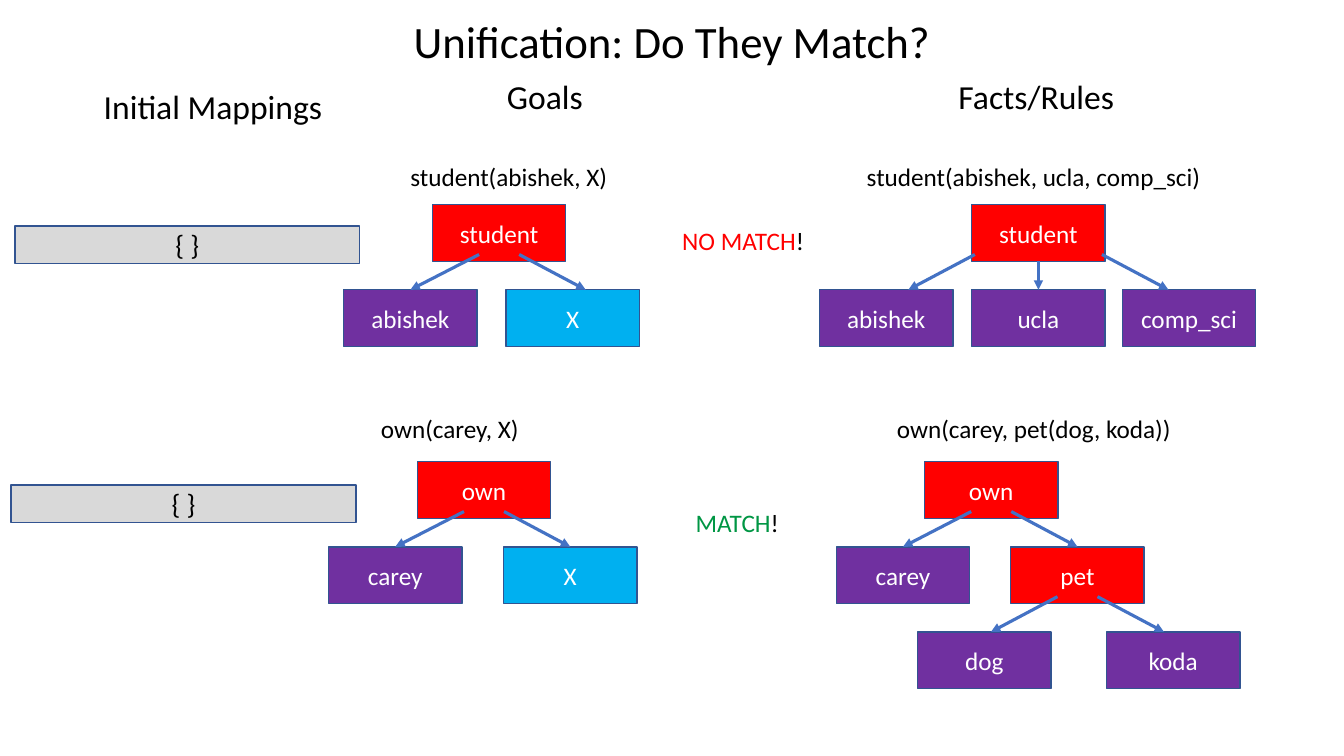
"""Build a slide that compares goals with facts and rules as term trees."""
from dataclasses import dataclass

from lxml import etree
from pptx import Presentation
from pptx.dml.color import RGBColor
from pptx.enum.shapes import MSO_CONNECTOR, MSO_SHAPE
from pptx.enum.text import MSO_ANCHOR, MSO_AUTO_SIZE, PP_ALIGN
from pptx.oxml.ns import qn
from pptx.util import Pt

RECTANGLE = MSO_SHAPE.RECTANGLE
STRAIGHT = MSO_CONNECTOR.STRAIGHT
MIDDLE = MSO_ANCHOR.MIDDLE
TOP = MSO_ANCHOR.TOP
CENTER = PP_ALIGN.CENTER
LEFT = PP_ALIGN.LEFT
FIT_SHAPE = MSO_AUTO_SIZE.SHAPE_TO_FIT_TEXT

COLOURS = {
    "functor": "FF0000", "atom": "7030A0", "variable": "00B0F0",
    "mapping": "D9D9D9", "outline": "325491", "arrow": "4472C4",
    "text": "000000", "label": "FFFFFF", "fail": "FF0000", "success": "009644",
}
NODE_WIDTH, NODE_HEIGHT = 95.3, 40.6
LEVEL_STEP = 60.8
ARROW_START = 35.6
ARROW_RUN, ARROW_DROP = 47.5, 25.2
JOIN_TOLERANCE = 3
TOP_SIDE, BOTTOM_SIDE = 0, 2


@dataclass(frozen=True)
class Span:
    text: str
    colour: str = "text"


@dataclass(frozen=True)
class Caption:
    left: float
    top: float
    width: float
    height: float
    size: float
    spans: tuple[Span, ...]


@dataclass(frozen=True)
class Node:
    label: str
    left: float
    role: str = "atom"
    children: tuple["Node", ...] = ()
    spread: float = 14.3


@dataclass(frozen=True)
class Tree:
    caption: Caption
    top: float
    root: Node


@dataclass(frozen=True)
class Mapping:
    left: float
    top: float


def caption(text: str, left: float, top: float, width: float, size: float = 18) -> Caption:
    return Caption(left, top, width, 36 if size > 18 else 29, size, (Span(text),))


TITLE = Caption(72, -13.7, 816, 90, 32, (Span("Unification: Do They Match?"),))
HEADINGS = (
    caption("Goals", 355, 50.4, 71.3, 24),
    caption("Facts/Rules", 677.5, 50.4, 128.2, 24),
    caption("Initial Mappings", 67, 57.8, 174.2, 24),
)
VERDICTS = (
    Caption(480.2, 157.7, 106.6, 29, 18, (Span("NO MATCH", "fail"), Span("!"))),
    Caption(489.8, 358.8, 77, 29, 18, (Span("MATCH", "success"), Span("!"))),
)
MAPPINGS = (Mapping(10.6, 161.3), Mapping(7.9, 346.3))
STUDENT_TOP, OWN_TOP = 146.2, 329.8
TREES = (
    Tree(caption("student(abishek, X)", 286, 111.6, 159), STUDENT_TOP,
         Node("student", 308.9, "functor",
              (Node("abishek", 245.5), Node("X", 361.5, "variable")))),
    Tree(caption("student(abishek, ucla, comp_sci)", 612, 111.6, 259), STUDENT_TOP,
         Node("student", 694.1, "functor",
              (Node("abishek", 585.4), Node("ucla", 694.1), Node("comp_sci", 801.7)), 45.4)),
    Tree(caption("own(carey, X)", 265, 291.6, 116), OWN_TOP,
         Node("own", 298.1, "functor",
              (Node("carey", 234.7), Node("X", 359.7, "variable")))),
    Tree(caption("own(carey, pet(dog, koda))", 633.6, 291.6, 216), OWN_TOP,
         Node("own", 660.4, "functor",
              (Node("carey", 597.4),
               Node("pet", 722, "functor", (Node("dog", 655.4), Node("koda", 790.4)))))),
)


def colour(name: str) -> RGBColor:
    return RGBColor.from_string(COLOURS[name])


def write(frame, spans: tuple[Span, ...], size: float, formats: dict, align=LEFT, spacing=None) -> None:
    for name, value in formats.items():
        setattr(frame, name, value)
    para = frame.paragraphs[0]
    for name, value in {"alignment": align, "line_spacing": spacing}.items():
        setattr(para, name, value)
    for span in spans:
        run = para.add_run()
        run.text = span.text
        for name, value in {"name": "Calibri", "size": Pt(size)}.items():
            setattr(run.font, name, value)
        run.font.color.rgb = colour(span.colour)


def add_caption(shapes, item: Caption, formats: dict, align=LEFT, spacing=None) -> None:
    box = shapes.add_textbox(Pt(item.left), Pt(item.top), Pt(item.width), Pt(item.height))
    write(box.text_frame, item.spans, item.size, formats, align, spacing)


def add_box(shapes, left: float, top: float, width: float, height: float,
            fill: str, span: Span, size: float):
    box = shapes.add_shape(RECTANGLE, Pt(left), Pt(top), Pt(width), Pt(height))
    box.shadow.inherit = False
    box.fill.solid()
    box.fill.fore_color.rgb = colour(fill)
    box.line.color.rgb = colour("outline")
    box.line.width = Pt(1)
    write(box.text_frame, (span,), size, {"vertical_anchor": MIDDLE, "word_wrap": True}, CENTER)
    return box


def add_arrow(shapes, start: tuple[float, float], end: tuple[float, float]):
    arrow = shapes.add_connector(STRAIGHT, *(Pt(value) for value in start + end))
    arrow.line.color.rgb = colour("arrow")
    arrow.line.width = Pt(2.25)
    etree.SubElement(arrow.line._get_or_add_ln(), qn("a:tailEnd"), type="triangle")
    etree.SubElement(arrow._element.spPr, qn("a:effectLst"))
    return arrow


def add_node(shapes, node: Node, top: float):
    box = add_box(shapes, node.left, top, NODE_WIDTH, NODE_HEIGHT,
                  node.role, Span(node.label, "label"), 18)
    center = node.left + NODE_WIDTH / 2
    middle = (len(node.children) - 1) / 2
    for index, child in enumerate(node.children):
        child_box = add_node(shapes, child, top + LEVEL_STEP)
        side = (index > middle) - (index < middle)
        start_x = center + side * node.spread
        end_x = start_x + side * ARROW_RUN
        start_y = top + ARROW_START
        arrow = add_arrow(shapes, (start_x, start_y), (end_x, start_y + ARROW_DROP))
        if side == 0:
            arrow.begin_connect(box, BOTTOM_SIDE)
        if abs(end_x - child.left - NODE_WIDTH / 2) < JOIN_TOLERANCE:
            arrow.end_connect(child_box, TOP_SIDE)
    return box


def main() -> None:
    deck = Presentation()
    deck.slide_width, deck.slide_height = Pt(960), Pt(540)
    page = deck.slides.add_slide(deck.slide_layouts[6])
    label_format = {"word_wrap": False, "auto_size": FIT_SHAPE, "vertical_anchor": TOP}
    for tree in TREES:
        group = page.shapes.add_group_shape()
        add_caption(group.shapes, tree.caption, label_format)
        add_node(group.shapes, tree.root, tree.top)
    for mapping in MAPPINGS:
        add_box(page.shapes, mapping.left, mapping.top, 246.3, 26.8, "mapping", Span("{ }"), 20)
    add_caption(page.shapes, TITLE, {"word_wrap": True, "vertical_anchor": MIDDLE}, CENTER, 0.9)
    for item in HEADINGS + VERDICTS:
        add_caption(page.shapes, item, label_format)
    deck.save("out.pptx")


if __name__ == "__main__":
    main()
